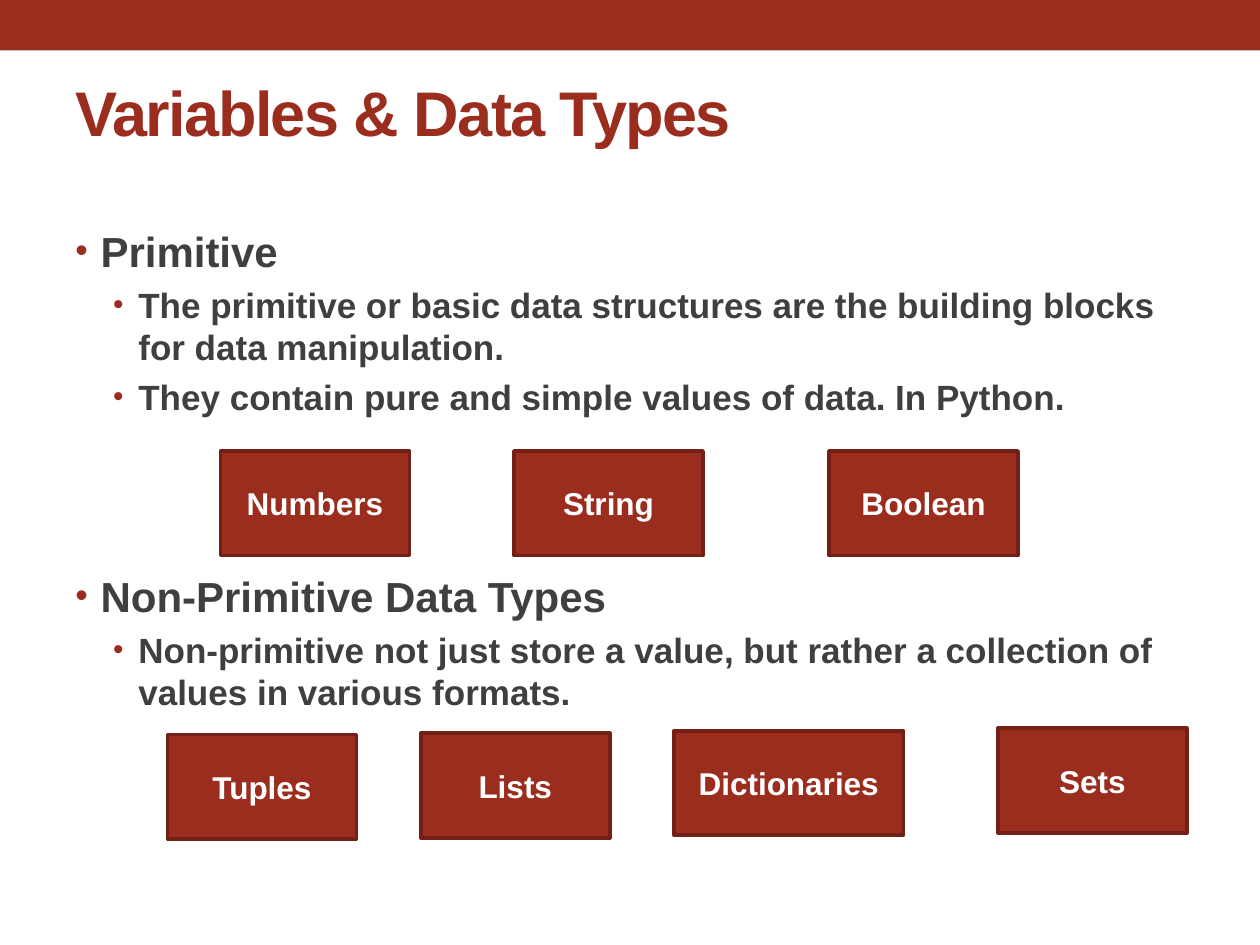
from lxml import etree
from pptx import Presentation, util as u
from pptx.dml.color import RGBColor
from pptx.enum import shapes, text
from pptx.oxml import ns

RED, DARK_RED, GREY, WHITE = "9B2D1F", "732117", "3F3F3F", "FFFFFF"


def paint(target, color):
    """Give a fill a solid colour, or a font its colour."""
    if hasattr(target, "solid"):
        target.solid()
        target.fore_color.rgb = RGBColor.from_string(color)
    else:
        target.color.rgb = RGBColor.from_string(color)


def style(paragraph, size, color):
    font = paragraph.font
    font.name, font.size, font.bold = "Arial", u.Pt(size), True
    paint(font, color)


presentation = Presentation()
presentation.slide_width, presentation.slide_height = u.Inches(10), u.Inches(7.5)
slide = presentation.slides.add_slide(presentation.slide_layouts[6])

# Top band
band = slide.shapes.add_shape(
    shapes.MSO_SHAPE.RECTANGLE, 0, 0, presentation.slide_width, u.Inches(0.4))
band.shadow.inherit = False
paint(band.fill, RED)
band.line.fill.background()

# Title
title = slide.shapes.add_textbox(
    u.Inches(0.5), u.Inches(0.58), u.Inches(9), u.Inches(1.08))
title.text_frame.word_wrap = True
title.text_frame.margin_top = 0
paragraph = title.text_frame.paragraphs[0]
run = paragraph.add_run()
run.text = "Variables & Data Types"
style(paragraph, 36, RED)
run.font.size = u.Pt(36)
run._r.get_or_add_rPr().set("spc", "-90")

# Bulleted text: level, space before, wording
points = [
    (0, 1, "Primitive"),
    (1, 4.5, "The primitive or basic data structures are the building blocks "
             "for data manipulation."),
    (1, 4.5, "They contain pure and simple values of data. In Python."),
    (0, 88, "Non-Primitive Data Types"),
    (1, 4.5, "Non-primitive not just store a value, but rather a collection of "
             "values in various formats."),
]
body = slide.shapes.add_textbox(
    u.Inches(0.5), u.Inches(1.75), u.Inches(9), u.Inches(5.33))
body.text_frame.word_wrap = True
for index, (level, space, wording) in enumerate(points):
    paragraph = (body.text_frame.add_paragraph() if index
                 else body.text_frame.paragraphs[0])
    paragraph.text = wording
    paragraph.level = level
    paragraph.space_before = u.Pt(space)
    paragraph.line_spacing = u.Pt(28 - 4 * level)
    style(paragraph, 24 - 4 * level, GREY)
    properties = paragraph._p.get_or_add_pPr()
    properties.set("marL", str(u.Inches(0.2 + 0.3 * level)))
    properties.set("indent", str(u.Inches(-0.2)))
    bullet = [etree.Element(ns.qn(tag)) for tag in
              ("a:buClr", "a:buSzPct", "a:buFont", "a:buChar")]
    etree.SubElement(bullet[0], ns.qn("a:srgbClr")).set("val", RED)
    bullet[1].set("val", "85000")
    bullet[2].set("typeface", "Arial")
    bullet[3].set("char", "•")
    # Bullet settings come before the paragraph's default font
    position = properties.index(properties.find(ns.qn("a:defRPr")))
    properties[position:position] = bullet

# Data type boxes: label, left, top, width
boxes = [
    ("Numbers", 1.75, 3.58, 1.5),
    ("String", 4.08, 3.58, 1.5),
    ("Boolean", 6.58, 3.58, 1.5),
    ("Tuples", 1.33, 5.83, 1.5),
    ("Lists", 3.34, 5.82, 1.5),
    ("Dictionaries", 5.35, 5.8, 1.82),
    ("Sets", 7.92, 5.78, 1.5),
]
for label, left, top, width in boxes:
    box = slide.shapes.add_shape(
        shapes.MSO_SHAPE.RECTANGLE,
        u.Inches(left), u.Inches(top), u.Inches(width), u.Inches(0.83))
    box.shadow.inherit = False
    paint(box.fill, RED)
    paint(box.line.fill, DARK_RED)
    box.line.width = u.Pt(2.08)
    box.text_frame.vertical_anchor = text.MSO_ANCHOR.MIDDLE
    paragraph = box.text_frame.paragraphs[0]
    paragraph.text = label
    paragraph.alignment = text.PP_ALIGN.CENTER
    style(paragraph, 18, WHITE)

presentation.save("out.pptx")
